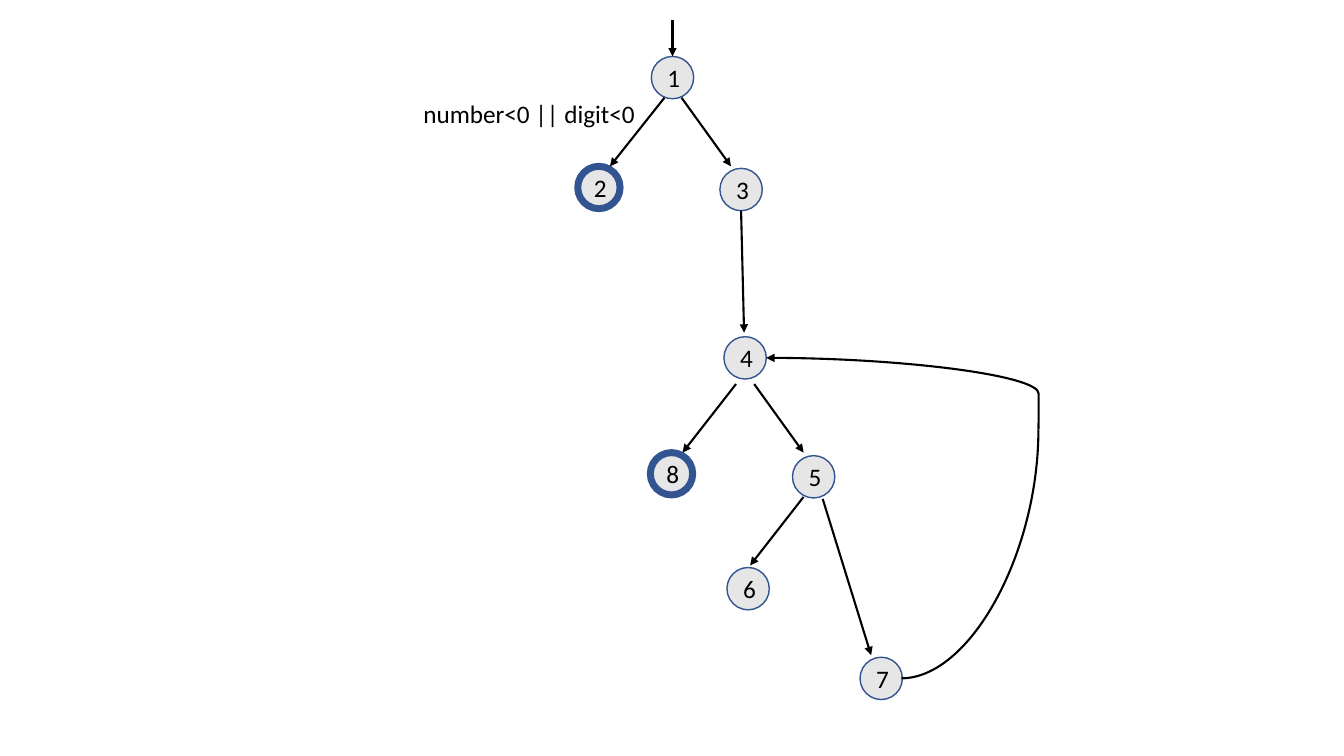
from lxml.etree import SubElement
from pptx import Presentation
from pptx.dml.color import RGBColor
from pptx.enum.shapes import MSO_CONNECTOR, MSO_SHAPE
from pptx.enum.text import MSO_ANCHOR, MSO_AUTO_SIZE, PP_ALIGN
from pptx.oxml.ns import qn
from pptx.util import Inches, Pt

BLACK = RGBColor(0x00, 0x00, 0x00)
GREY = RGBColor(0xE7, 0xE6, 0xE6)
BLUE = RGBColor(0x32, 0x54, 0x91)


class FlowGraph:
    """Style and current slide; lengths are cells of a 0.1 inch grid."""

    cell = Inches(0.1)
    font_name = "Calibri"
    font_size = Pt(18)
    node_size = 4.2
    edge_width = Pt(1.5)

    def __init__(self, slide):
        self.slide = slide

    def grid(self, *cells):
        return [round(count * self.cell) for count in cells]

    def set_text(self, shape, text):
        shape.text_frame.text = text
        for run in shape.text_frame.paragraphs[0].runs:
            run.font.name = self.font_name
            run.font.size = self.font_size
            run.font.color.rgb = BLACK

    def node(self, name, column, row, final=False):
        """Circle centred on a grid point; a final node has a thick rim."""
        half = self.node_size / 2
        shape = self.slide.shapes.add_shape(
            MSO_SHAPE.OVAL,
            *self.grid(column - half, row - half, self.node_size, self.node_size))
        shape.shadow.inherit = False
        shape.fill.solid()
        shape.fill.fore_color.rgb = GREY
        shape.line.color.rgb = BLUE
        shape.line.width = Pt(5 if final else 1)
        self.set_text(shape, name)
        shape.text_frame.vertical_anchor = MSO_ANCHOR.MIDDLE
        shape.text_frame.paragraphs[0].alignment = PP_ALIGN.CENTER

    def edge(self, start, end, kind=MSO_CONNECTOR.STRAIGHT, arrow=True):
        connector = self.slide.shapes.add_connector(kind, *self.grid(*start, *end))
        connector.line.color.rgb = BLACK
        connector.line.width = self.edge_width
        properties = connector._element.spPr
        if arrow:
            SubElement(properties.find(qn("a:ln")), qn("a:tailEnd"), type="triangle")
        SubElement(properties, qn("a:effectLst"))
        return connector

    def curve(self, start, end, preset, bend=None, arrow=True):
        connector = self.edge(start, end, MSO_CONNECTOR.CURVE, arrow)
        geometry = connector._element.spPr.find(qn("a:prstGeom"))
        geometry.set("prst", preset)
        if bend is not None:
            SubElement(geometry.find(qn("a:avLst")), qn("a:gd"),
                       name="adj1", fmla=f"val {bend}")

    def label(self, text, left, top, width, height):
        box = self.slide.shapes.add_textbox(*self.grid(left, top, width, height))
        self.set_text(box, text)
        box.text_frame.word_wrap = False
        box.text_frame.auto_size = MSO_AUTO_SIZE.SHAPE_TO_FIT_TEXT


presentation = Presentation()
presentation.slide_width = Inches(13.33)
presentation.slide_height = Inches(7.5)
graph = FlowGraph(presentation.slides.add_slide(presentation.slide_layouts[6]))

# Nodes: name, centre column, centre row, final
for node in [
    ("1", 66.7, 7.7, False),
    ("2", 59.4, 18.6, True),
    ("3", 73.5, 18.8, False),
    ("4", 73.9, 35.5, False),
    ("5", 80.7, 47.3, False),
    ("6", 74.2, 58.4, False),
    ("7", 87.4, 67.3, False),
    ("8", 66.6, 47.0, True),
]:
    graph.node(*node)

# Entry arrow and straight edges
for start, end in [
    ((66.7, 2), (66.7, 5.6)),
    ((65.9, 9.7), (60.5, 16.5)),
    ((67.6, 9.7), (72.5, 16.5)),
    ((73.5, 20.9), (73.8, 33)),
    ((73, 38.1), (67.7, 44.9)),
    ((74.8, 38.1), (79.7, 44.9)),
    ((79.7, 49.3), (74.4, 56.1)),
    ((81.6, 49.5), (86.4, 65)),
]:
    graph.edge(start, end)

# Loop from node 7 back to node 4
corner = (103, 42.6)
graph.curve((89.4, 67.3), corner, "curvedConnector2", arrow=False)
graph.curve(corner, (76, 35.5), "curvedConnector3", bend=-100)

# Branch condition
graph.label("number<0 || digit<0", 41, 9.3, 23.5, 4)

presentation.save("out.pptx")
